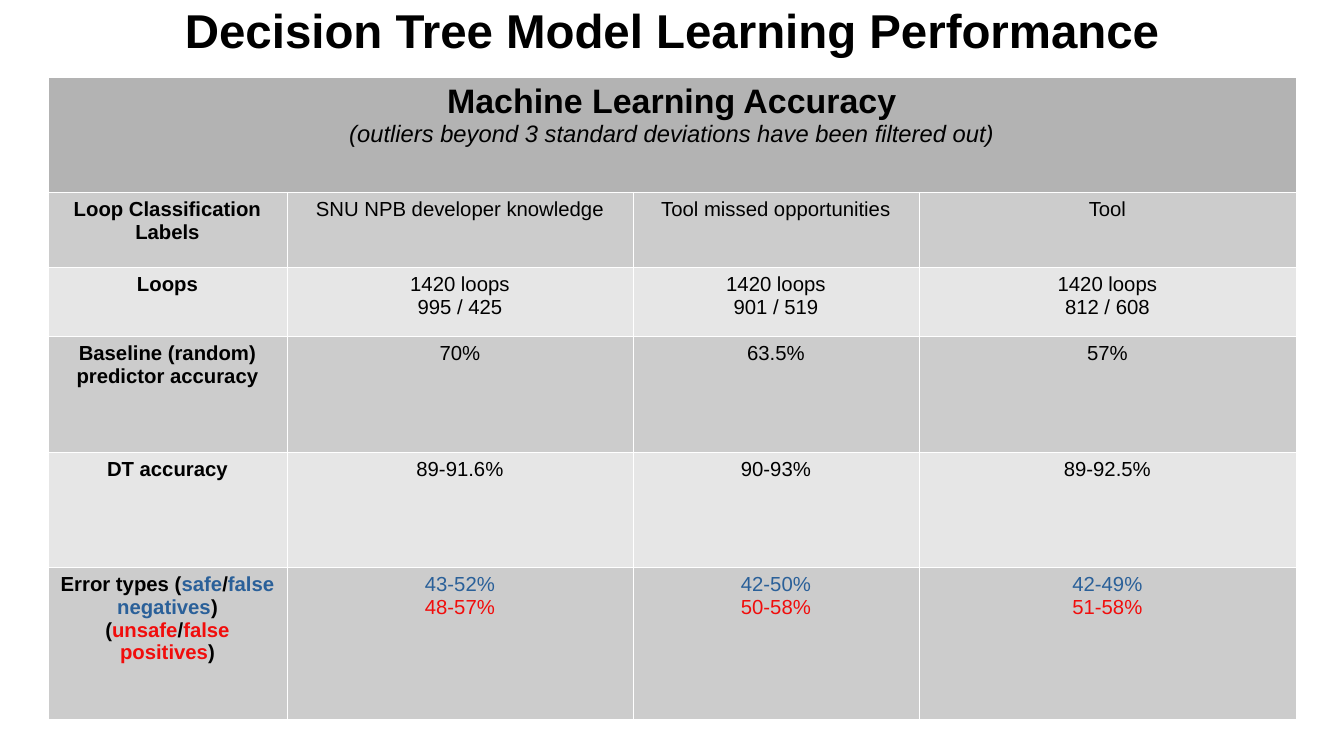
from lxml.etree import SubElement
from pptx import Presentation
from pptx.dml.color import RGBColor
from pptx.enum.text import MSO_ANCHOR, MSO_AUTO_SIZE, PP_ALIGN
from pptx.oxml.ns import qn
from pptx.util import Pt

BLACK = RGBColor(0x00, 0x00, 0x00)
WHITE = RGBColor(0xFF, 0xFF, 0xFF)
BLUE = RGBColor(0x2A, 0x60, 0x99)
RED = RGBColor(0xF1, 0x0D, 0x0C)
HEADER_GRAY = RGBColor(0xB3, 0xB3, 0xB3)
DARK_GRAY = RGBColor(0xCC, 0xCC, 0xCC)
LIGHT_GRAY = RGBColor(0xE6, 0xE6, 0xE6)

TITLE = "Decision Tree Model Learning Performance"
HEADING = "Machine Learning Accuracy"
SUBHEADING = "(outliers beyond 3 standard deviations have been filtered out)"
ERROR_LABEL = [
    [("Error types (", BLACK), ("safe", BLUE), ("/", BLACK), ("false negatives", BLUE), (")", BLACK)],
    [("(", BLACK), ("unsafe", RED), ("/", BLACK), ("false positives", RED), (")", BLACK)],
]
PLAIN_ROWS = [
    ["Loop Classification Labels", "SNU NPB developer knowledge", "Tool missed opportunities", "Tool"],
    ["Loops", "1420 loops\n995 / 425", "1420 loops\n901 / 519", "1420 loops\n812 / 608"],
    ["Baseline (random) predictor accuracy", "70%", "63.5%", "57%"],
    ["DT accuracy", "89-91.6%", "90-93%", "89-92.5%"],
]
ERROR_RATES = [("43-52%", "48-57%"), ("42-50%", "50-58%"), ("42-49%", "51-58%")]

PX = 7495
SLIDE_WIDTH, SLIDE_HEIGHT = 1344, 756
TITLE_HEIGHT = 59
TABLE_LEFT, TABLE_TOP = 48, 77
COLUMN_WIDTHS = [239, 346, 286, 377]
ROW_HEIGHTS = [115, 75, 69, 116, 115, 152]


def style(span, size, color=BLACK, bold=False, italic=False):
    font = span.font
    font.name = "Arial"
    font.size = Pt(size)
    font.bold = bold
    font.italic = italic
    font.color.rgb = color


def write_cell(cell, lines, bold=False):
    frame = cell.text_frame
    for index, line in enumerate(lines):
        para = frame.add_paragraph() if index else frame.paragraphs[0]
        para.alignment = PP_ALIGN.CENTER
        for words, color in line:
            span = para.add_run()
            span.text = words
            style(span, 12, color, bold)


def paint_cell(cell, color):
    properties = cell._tc.get_or_add_tcPr()
    for side in ("a:lnL", "a:lnR", "a:lnT", "a:lnB"):
        border = SubElement(properties, qn(side), w=str(Pt(0.06)))
        fill = SubElement(border, qn("a:solidFill"))
        SubElement(fill, qn("a:srgbClr"), val=str(WHITE))
    cell.fill.solid()
    cell.fill.fore_color.rgb = color


def add_title(page):
    title = page.shapes.title
    title.left, title.top = 0, 0
    title.width, title.height = SLIDE_WIDTH * PX, TITLE_HEIGHT * PX
    frame = title.text_frame
    frame.margin_left = frame.margin_right = frame.margin_top = frame.margin_bottom = 0
    frame.vertical_anchor = MSO_ANCHOR.MIDDLE
    frame.auto_size = MSO_AUTO_SIZE.NONE
    frame.text = TITLE
    para = frame.paragraphs[0]
    para.alignment = PP_ALIGN.CENTER
    style(para.runs[0], 28, bold=True)


def add_accuracy_table(page):
    table = page.shapes.add_table(
        len(ROW_HEIGHTS), len(COLUMN_WIDTHS), TABLE_LEFT * PX, TABLE_TOP * PX,
        sum(COLUMN_WIDTHS) * PX, sum(ROW_HEIGHTS) * PX,
    ).table
    table.first_row = False
    table.horz_banding = False
    for column, width in zip(table.columns, COLUMN_WIDTHS):
        column.width = width * PX
    for row, height in zip(table.rows, ROW_HEIGHTS):
        row.height = height * PX

    fills = [HEADER_GRAY] + [DARK_GRAY, LIGHT_GRAY] * 2 + [DARK_GRAY]
    for row, color in zip(table.rows, fills):
        for cell in row.cells:
            paint_cell(cell, color)

    header = table.cell(0, 0)
    header.merge(table.cell(0, len(COLUMN_WIDTHS) - 1))
    header.text_frame.text = f"{HEADING}\n{SUBHEADING}"
    heading, subheading = header.text_frame.paragraphs
    heading.alignment = subheading.alignment = PP_ALIGN.CENTER
    style(heading.runs[0], 20, bold=True)
    style(subheading.runs[0], 14, italic=True)

    body = [[[[(line, BLACK)] for line in text.split("\n")] for text in row] for row in PLAIN_ROWS]
    body.append([ERROR_LABEL] + [[[(safe, BLUE)], [(unsafe, RED)]] for safe, unsafe in ERROR_RATES])
    for row_index, row in enumerate(body, start=1):
        for column_index, lines in enumerate(row):
            write_cell(table.cell(row_index, column_index), lines, bold=column_index == 0)


def main():
    deck = Presentation()
    deck.slide_width, deck.slide_height = SLIDE_WIDTH * PX, SLIDE_HEIGHT * PX
    page = deck.slides.add_slide(deck.slide_layouts[5])
    add_title(page)
    add_accuracy_table(page)
    deck.save("out.pptx")


if __name__ == "__main__":
    main()
